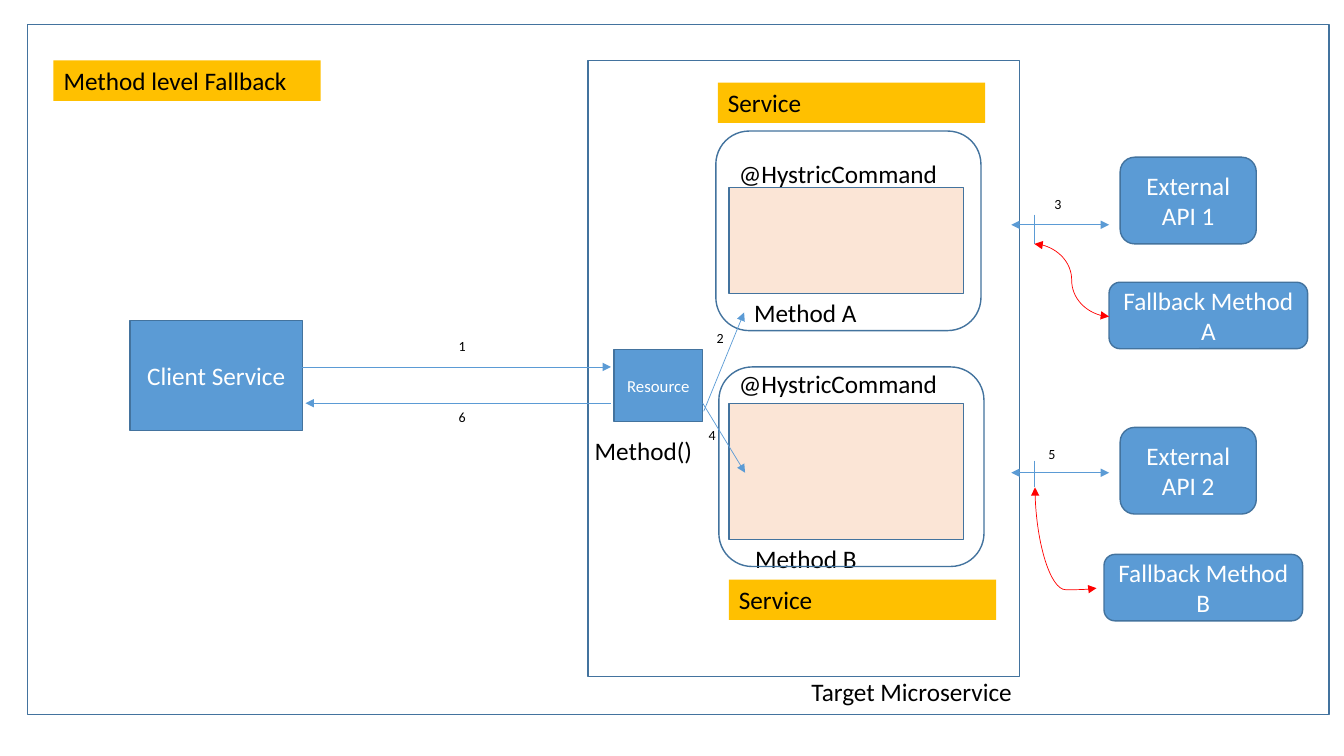
from collections import namedtuple

from lxml.etree import SubElement
from pptx import Presentation
from pptx.dml.color import RGBColor
from pptx.enum.shapes import MSO_CONNECTOR, MSO_SHAPE
from pptx.enum.text import MSO_ANCHOR, MSO_AUTO_SIZE, PP_ALIGN
from pptx.oxml.ns import qn
from pptx.util import Inches, Pt

COLORS = {
    "blue": "5B9BD5",
    "outline": "43739E",
    "peach": "FBE5D6",
    "amber": "FFC000",
    "red": "FF0000",
    "black": "000000",
    "white": "FFFFFF",
}
FONT = "Calibri"
BANNER_SIZE = (2.65, 0.4)
NUMBER_SIZE = (0.88, 0.27)

Box = namedtuple("Box", "left top width height")
Method = namedtuple("Method", "name command code label banner")
Api = namedtuple("Api", "name fallback fallback_at arrow_y tick number number_at curve")


def color(name):
    return RGBColor.from_string(COLORS[name])


def within(box, left, top, width, height):
    return Box(box.left + left, box.top + top, width, height)


def write(shape, text, size=18, ink="black", align=PP_ALIGN.LEFT, anchor=MSO_ANCHOR.TOP):
    frame = shape.text_frame
    frame.word_wrap = True
    frame.auto_size = MSO_AUTO_SIZE.NONE
    frame.vertical_anchor = anchor
    para = frame.paragraphs[0]
    para.alignment = align
    para.line_spacing = 1.0
    span = para.add_run()
    span.text = text
    span.font.name = FONT
    span.font.size = Pt(size)
    span.font.color.rgb = color(ink)


def add_label(slide, box, text, size=18):
    write(slide.shapes.add_textbox(*map(Inches, box)), text, size)


def add_box(slide, box, fill=None, line="outline", kind=MSO_SHAPE.RECTANGLE):
    shape = slide.shapes.add_shape(kind, *map(Inches, box))
    shape.shadow.inherit = False
    if fill:
        shape.fill.solid()
        shape.fill.fore_color.rgb = color(fill)
    else:
        shape.fill.background()
    if line:
        shape.line.color.rgb = color(line)
        shape.line.width = Pt(1)
    else:
        shape.line.fill.background()
    return shape


def add_node(slide, box, text, size=18, kind=MSO_SHAPE.ROUNDED_RECTANGLE):
    node = add_box(slide, box, fill="blue", kind=kind)
    write(node, text, size, "white", PP_ALIGN.CENTER, MSO_ANCHOR.MIDDLE)


def add_banner(slide, box, text):
    write(add_box(slide, box, fill="amber", line=None), text)


def add_line(slide, box, start, end, ends=("tailEnd",), ink="blue",
             kind=MSO_CONNECTOR.STRAIGHT):
    points = (box.left + start[0], box.top + start[1], box.left + end[0], box.top + end[1])
    line = slide.shapes.add_connector(kind, *map(Inches, points))
    line.line.color.rgb = color(ink)
    line.line.width = Pt(0.5)
    stroke = line.line._get_or_add_ln()
    for end_name in ends:
        SubElement(stroke, qn(f"a:{end_name}"), type="triangle")
    SubElement(line._element.spPr, qn("a:effectLst"))
    return line


def turn_curve(curve, degrees, bend):
    properties = curve._element.spPr
    properties.find(qn("a:xfrm")).set("rot", str(degrees * 60000))
    guides = properties.find(qn("a:prstGeom")).get_or_add_avLst()
    SubElement(guides, qn("a:gd"), name="adj1", fmla=f"val {bend}")


def draw_title(slide, box):
    title = slide.shapes.title
    title.left, title.top, title.width, title.height = map(Inches, box)
    title.fill.solid()
    title.fill.fore_color.rgb = color("amber")
    write(title, "Method level Fallback")


def draw_client(slide, box):
    add_node(slide, box, "Client Service", kind=MSO_SHAPE.RECTANGLE)
    add_line(slide, box, (box.width, 0.46), (4.77, 0.46))
    add_line(slide, box, (4.77, 0.82), (1.74, 0.82))
    for number, top in (("1", 0.12), ("6", 0.82)):
        add_label(slide, within(box, 3.16, top, *NUMBER_SIZE), number, 10)


def draw_method(slide, box, method):
    add_box(slide, within(box, *method.code), fill="peach")
    add_label(slide, within(box, *method.label, *BANNER_SIZE), method.name)
    add_label(slide, within(box, *method.command, 2.17, 0.4), "@HystricCommand")
    add_box(slide, box, kind=MSO_SHAPE.ROUNDED_RECTANGLE)
    add_banner(slide, within(box, *method.banner, *BANNER_SIZE), "Service")


def draw_microservice(slide, box):
    add_box(slide, box)
    add_label(slide, within(box, 2.12, 6.06, *BANNER_SIZE), "Target Microservice")
    methods = (
        (1.27, 0.7, Method("Method A", (0.13, 0.22), (0.13, 0.56, 2.33, 1.05),
                           (0.28, 1.6), (0.02, -0.48))),
        (1.3, 3.04, Method("Method B", (0.1, -0.04), (0.1, 0.36, 2.33, 1.35),
                           (0.26, 1.7), (0.1, 2.11))),
    )
    for left, top, method in methods:
        draw_method(slide, within(box, left, top, 2.63, 1.98), method)
    add_node(slide, within(box, 0.26, 2.87, 0.88, 0.71), "Resource", 12, MSO_SHAPE.RECTANGLE)
    add_label(slide, within(box, -0.03, 3.67, *BANNER_SIZE), "Method()")
    add_line(slide, box, (1.15, 3.48), (1.55, 2.5))
    add_line(slide, box, (1.14, 3.4), (1.56, 4.09))
    for number, left, top in (("2", 1.18, 2.62), ("4", 1.1, 3.58)):
        add_label(slide, within(box, left, top, *NUMBER_SIZE), number, 10)


def draw_external(slide, box, api):
    both_ends = ("headEnd", "tailEnd")
    add_node(slide, within(box, 1.08, 0, 1.35, 0.86), api.name)
    add_node(slide, within(box, *api.fallback_at, 1.97, 0.66), api.fallback)
    add_line(slide, box, (0, api.arrow_y), (0.97, api.arrow_y), both_ends)
    add_line(slide, box, (0.23, api.tick[0]), (0.23, api.tick[1]), ())
    add_label(slide, within(box, *api.number_at, *NUMBER_SIZE), api.number, 10)
    return add_line(slide, box, *api.curve, both_ends, "red", MSO_CONNECTOR.CURVE)


def build():
    deck = Presentation()
    deck.slide_width, deck.slide_height = Inches(13.33), Inches(7.5)
    page = deck.slides.add_slide(deck.slide_layouts[5])
    add_box(page, Box(0.27, 0.24, 12.91, 6.85))
    draw_title(page, Box(0.53, 0.6, *BANNER_SIZE))
    draw_microservice(page, Box(5.83, 0.6, 4.28, 6.11))
    draw_client(page, Box(1.29, 3.18, 1.71, 1.09))
    first = Api("External API 1", "Fallback Method A", (0.97, 1.24), 0.67,
                (0.57, 0.86), "3", (0.33, 0.33), ((0.23, 0.86), (0.97, 1.58)))
    second = Api("External API 2", "Fallback Method B", (0.92, 1.26), 0.45,
                 (0.33, 0.59), "5", (0.27, 0.13), ((1.04, 0.79), (0.04, 1.4)))
    draw_external(page, Box(10.03, 1.56, 2.94, 1.9), first)
    curve = draw_external(page, Box(10.03, 4.24, 2.94, 1.92), second)
    turn_curve(curve, 270, 101600)
    deck.save("out.pptx")


build()
